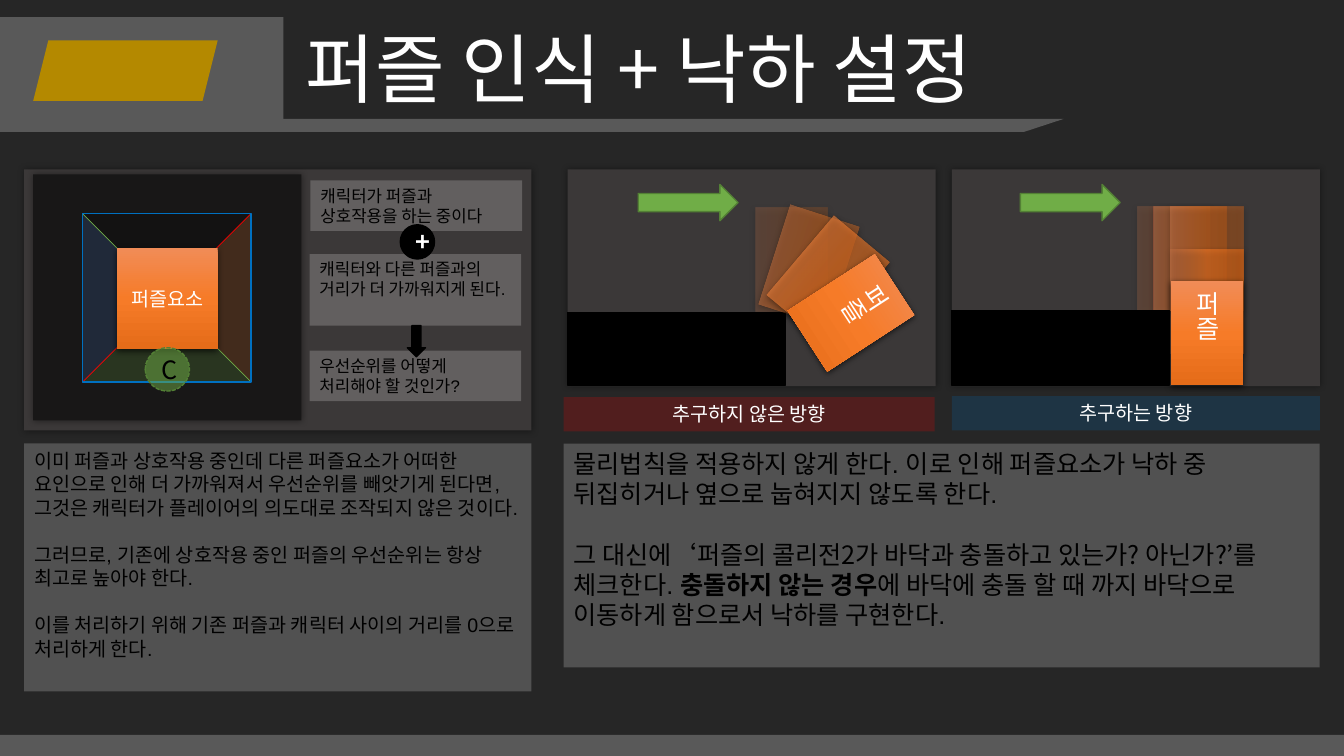
"""Build the slide on puzzle recognition and falling behaviour."""
from lxml import etree
from pptx import Presentation
from pptx.dml.color import RGBColor
from pptx.enum.dml import MSO_LINE
from pptx.enum.shapes import MSO_CONNECTOR, MSO_SHAPE
from pptx.enum.text import MSO_ANCHOR, MSO_AUTO_SIZE, PP_ALIGN
from pptx.oxml.ns import qn
from pptx.util import Cm, Pt

RECT, OVAL = MSO_SHAPE.RECTANGLE, MSO_SHAPE.OVAL
SLANT, TRIANGLE = MSO_SHAPE.PARALLELOGRAM, MSO_SHAPE.ISOSCELES_TRIANGLE
RIGHT_ARROW, DOWN_ARROW = MSO_SHAPE.RIGHT_ARROW, MSO_SHAPE.DOWN_ARROW
STRAIGHT, DASH = MSO_CONNECTOR.STRAIGHT, MSO_LINE.SQUARE_DOT
LEFT, CENTER = PP_ALIGN.LEFT, PP_ALIGN.CENTER
TOP, MIDDLE = MSO_ANCHOR.TOP, MSO_ANCHOR.MIDDLE
NO_FIT = MSO_AUTO_SIZE.NONE

BACK = RGBColor(0x26, 0x26, 0x26)
GREY = RGBColor(0x59, 0x59, 0x59)
PANEL = RGBColor(0x3B, 0x38, 0x38)
DARK = RGBColor(0x18, 0x17, 0x17)
BLACK = RGBColor(0, 0, 0)
WHITE = RGBColor(0xFF, 0xFF, 0xFF)
GOLD = RGBColor(0xB4, 0x89, 0x00)
GREEN = RGBColor(0x70, 0xAD, 0x47)
DEEP_GREEN = RGBColor(0x53, 0x80, 0x35)
RED = RGBColor(0xFF, 0, 0)
BLUE = RGBColor(0x00, 0x70, 0xC0)
INDIGO = RGBColor(0x44, 0x72, 0xC4)
ORANGE = RGBColor(0xED, 0x7D, 0x31)
BLOCK_STOPS = (RGBColor(0xF1, 0x8C, 0x57), RGBColor(0xF6, 0x7B, 0x28),
               RGBColor(0xE5, 0x6C, 0x19))

NOTO, ARIAL = "Noto Sans CJK KR", "Arial"
SOFT = dict(alpha=40, blur=5, dist=0, angle=0)
DROP = dict(alpha=63, blur=4.5, dist=1.5, angle=90)


def inch(value):
    return Cm(value * 2.54)


def add_color(parent, color, alpha):
    node = etree.SubElement(parent, qn("a:srgbClr"), val=str(color))
    etree.SubElement(node, qn("a:alpha"), val=str(alpha * 1000))


class Board:
    """Holds the style and the current slide."""

    def __init__(self, prs, background):
        self.s = prs.slides.add_slide(prs.slide_layouts[5])
        self.s.background.fill.solid()
        self.s.background.fill.fore_color.rgb = background

    def title(self, text, box, **fmt):
        sp = self.s.shapes.title
        sp.left, sp.top, sp.width, sp.height = map(inch, box)
        self.text(sp, text, **fmt)

    def text(self, sp, text, size=14, font=NOTO, color=WHITE, bold=False,
             align=CENTER, anchor=TOP, vert=None, gap=0):
        tf = sp.text_frame
        tf.word_wrap, tf.auto_size, tf.vertical_anchor = True, NO_FIT, anchor
        tf.margin_left = tf.margin_right = inch(0.1)
        tf.margin_top = tf.margin_bottom = inch(0.05)
        if vert:
            sp.element.txBody.find(qn("a:bodyPr")).set("vert", vert)
        paragraphs = [[(text, font, bold)]] if isinstance(text, str) else text
        for i, runs in enumerate(paragraphs):
            p = tf.add_paragraph() if i else tf.paragraphs[0]
            p.alignment, p.line_spacing = align, 1.0
            p.space_before = Pt(gap if i else 0)
            for words, name, heavy in runs:
                r = p.add_run()
                r.text = words
                r.font.name, r.font.size, r.font.bold = name, Pt(size), heavy
                r.font.color.rgb = color
                etree.SubElement(r.font._element, qn("a:ea"), typeface=NOTO)

    def shape(self, kind, box, fill=None, alpha=100, line=None, dash=None,
              shadow=None, rot=0, adj=None, text=None, **fmt):
        sp = self.s.shapes.add_shape(kind, *map(inch, box))
        sp.rotation = rot
        if adj is not None:
            sp.adjustments[0] = adj
        if fill is None:
            sp.fill.background()
        else:
            sp.fill.solid()
            sp.fill.fore_color.rgb = fill
            if alpha < 100:
                node = sp.element.spPr.find(".//" + qn("a:srgbClr"))
                etree.SubElement(node, qn("a:alpha"), val=str(alpha * 1000))
        if line is None:
            sp.line.fill.background()
        else:
            sp.line.color.rgb, sp.line.width = line, Pt(1)
            if dash:
                sp.line.dash_style = dash
        sp.shadow.inherit = False
        if shadow:
            self.cast(sp, **shadow)
        if text:
            self.text(sp, text, **fmt)
        return sp

    def cast(self, sp, alpha, blur, dist, angle):
        effects = sp.element.spPr.find(qn("a:effectLst"))
        node = etree.SubElement(
            effects, qn("a:outerShdw"), blurRad=str(Pt(blur)),
            dist=str(Pt(dist)), dir=str(angle * 60000), algn="ctr", rotWithShape="0")
        add_color(node, BLACK, alpha)

    def block(self, box, alphas=(100, 100, 100), angle=0, **kw):
        sp = self.shape(RECT, box, shadow=DROP, **kw)
        sp.fill.gradient()
        grad = sp.element.spPr.find(qn("a:gradFill"))
        for child in list(grad):
            grad.remove(child)
        stops = etree.SubElement(grad, qn("a:gsLst"))
        for pos, color, alpha in zip((0, 50000, 100000), BLOCK_STOPS, alphas):
            add_color(etree.SubElement(stops, qn("a:gs"), pos=str(pos)), color, alpha)
        etree.SubElement(grad, qn("a:lin"), ang=str(angle * 60000), scaled="0")

    def line(self, x1, y1, x2, y2, color):
        c = self.s.shapes.add_connector(STRAIGHT, *map(inch, (x1, y1, x2, y2)))
        c.line.color.rgb, c.line.width = color, Pt(0.5)
        etree.SubElement(c.element.spPr, qn("a:effectLst"))

    def note(self, box, text, fill=WHITE, **fmt):
        self.shape(RECT, box, fill, alpha=20, text=text, **fmt)


prs = Presentation()
prs.slide_width, prs.slide_height = inch(13.33), inch(7.5)
b = Board(prs, BACK)

b.shape(RECT, (-0.01, 0.17, 2.82, 1.14), GREY)
b.shape(SLANT, (0.33, 0.4, 1.83, 0.6), GOLD)
b.shape(SLANT, (2.31, 1.18, 8.24, 0.13), GREY, adj=3.05)
b.shape(RECT, (0, 7.29, 13.33, 0.22), GREY)
b.title("퍼즐 인식 + 낙하 설정", (2.93, 0.17, 7.86, 1.01), size=54, align=LEFT)

W, H = 0.72, 1.03
FALLING = dict(angle=90, text="퍼즐", size=18, anchor=MIDDLE, vert="eaVert")

b.shape(RECT, (5.63, 1.68, 3.65, 2.15), PANEL, shadow=SOFT)
b.shape(RECT, (5.63, 3.1, 2.16, 0.72), BLACK, line=BLACK)
b.shape(RIGHT_ARROW, (6.33, 1.83, 0.99, 0.36), GREEN, line=DEEP_GREEN)
for x, y, rot, alpha in ((7.49, 2.06, 0, 20), (7.66, 2.12, 17.8, 40), (7.85, 2.25, 40.1, 60)):
    b.block((x, y, W, H), (alpha,) * 3, rot=rot)
b.block((8.08, 2.59, W, H), rot=57, **FALLING)

b.shape(RECT, (9.44, 1.68, 3.65, 2.15), PANEL, shadow=SOFT)
for x, alpha in ((11.28, 20), (11.44, 40)):
    b.block((x, 2.05, W, H), (alpha,) * 3)
b.shape(RECT, (9.44, 3.08, 2.16, 0.74), BLACK, line=BLACK)
b.shape(RIGHT_ARROW, (10.12, 1.83, 0.99, 0.36), GREEN, line=DEEP_GREEN)
for y, alphas in ((2.05, (40, 40, 40)), (2.48, (20, 60, 60))):
    b.block((11.61, y, W, H), alphas)
b.block((11.61, 2.79, W, H), **FALLING)

b.note((5.59, 3.94, 3.68, 0.34), "추구하지 않은 방향", RED)
b.note((9.44, 3.93, 3.65, 0.34), "추구하는 방향", BLUE)
BODY = dict(font=ARIAL, color=BLACK, align=LEFT)
b.note((5.59, 4.4, 7.5, 2.22), [
    [("물리법칙을 적용하지 않게 한다. 이로 인해 퍼즐요소가 낙하 중 뒤집히거나 옆으로 "
      "눕혀지지 않도록 한다.", ARIAL, False)],
    [("그 대신에", ARIAL, False),
     ("‘퍼즐의 콜리젂2가 바닥과 충돌하고 있는가? 아닌가?’".replace("젂2", "전2"), NOTO, False),
     ("를 체크한다. ", ARIAL, False),
     ("충돌하지 않는 경우", ARIAL, True),
     ("에 바닥에 충돌 할 때 까지 바닥으로 이동하게 함으로서 낙하를 구현한다.", ARIAL, False)],
], size=18, gap=21.6, **BODY)

b.shape(RECT, (0.24, 1.68, 5.03, 2.59), PANEL, shadow=SOFT)
b.shape(RECT, (0.33, 1.73, 2.66, 2.44), DARK, shadow=SOFT)
X, Y, SIDE = 0.82, 2.12, 1.67
HALF = SIDE / 2
for dx, dy, rot, color in ((0, 0, 180, BLACK), (-HALF / 2, HALF / 2, 90, INDIGO),
                           (0, HALF, 0, GREEN), (HALF / 2, HALF / 2, 270, ORANGE)):
    b.shape(TRIANGLE, (X + dx, Y + dy, SIDE, HALF), color, alpha=20, rot=rot)
b.line(X + SIDE, Y, X, Y + SIDE, RED)
b.line(X, Y, X + SIDE, Y + SIDE, GREEN)
b.shape(RECT, (X, Y, SIDE, SIDE), line=BLUE)
b.block((1.16, 2.46, 1, 1), angle=90, text="퍼즐요소", anchor=MIDDLE)
b.shape(OVAL, (1.44, 3.45, 0.44, 0.43), GREEN, alpha=50, line=DEEP_GREEN, dash=DASH,
        text="C", size=18, color=BLACK, anchor=MIDDLE)

for x, y, height, text in (
        (3.08, 1.79, 0.5, "캐릭터가 퍼즐과 상호작용을 하는 중이다"),
        (3.07, 2.52, 0.71, "캐릭터와 다른 퍼즐과의 거리가 더 가까워지게 된다."),
        (3.07, 3.48, 0.5, "우선순위를 어떻게 처리해야 할 것인가?")):
    b.note((x, y, 2.1, height), text, size=12, **BODY)
b.note((0.24, 4.4, 5.03, 2.46), [
    [("이미 퍼즐과 상호작용 중인데 다른 퍼즐요소가 어떠한 요인으로 인해 더 가까워져서 "
      "우선순위를 빼앗기게 된다면, 그것은 ", ARIAL, False),
     ("캐릭터가 플레이어의 의도대로 조작되지 않은 것", NOTO, False), ("이다.", ARIAL, False)],
    [("그러므로, 기존에 상호작용 중인 퍼즐의 우선순위는 항상 최고로 높아야 한다.", ARIAL, False)],
    [("이를 처리하기 위해 기존 퍼즐과 캐릭터 사이의 거리를 0으로 처리하게 한다.", ARIAL, False)],
], gap=16.8, **BODY)
b.shape(OVAL, (3.97, 2.23, 0.34, 0.34), BLACK, line=BLACK, text="+", size=18, bold=True,
        anchor=MIDDLE)
b.shape(DOWN_ARROW, (4.04, 3.23, 0.18, 0.31), BLACK, line=BLACK)

prs.save("out.pptx")
